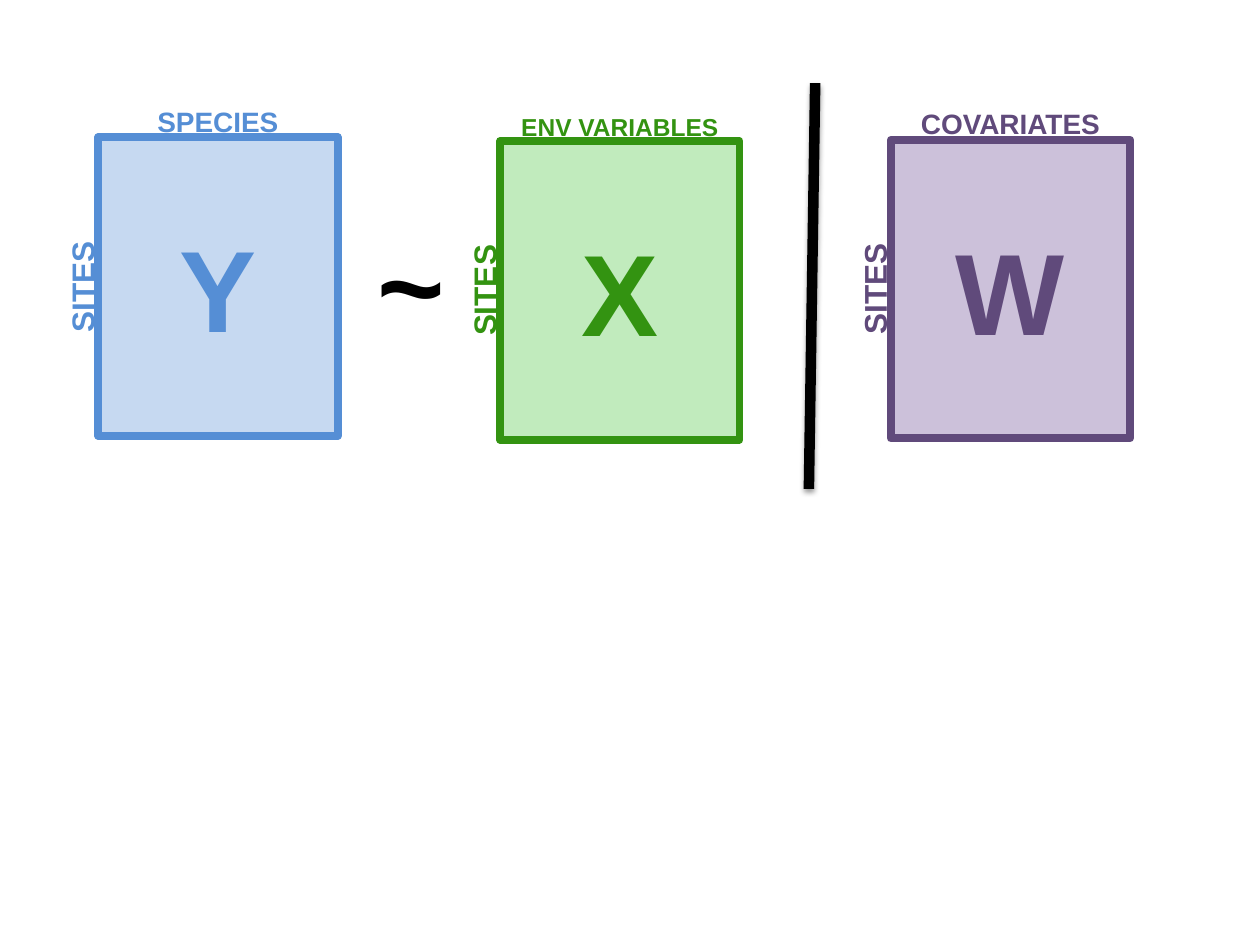
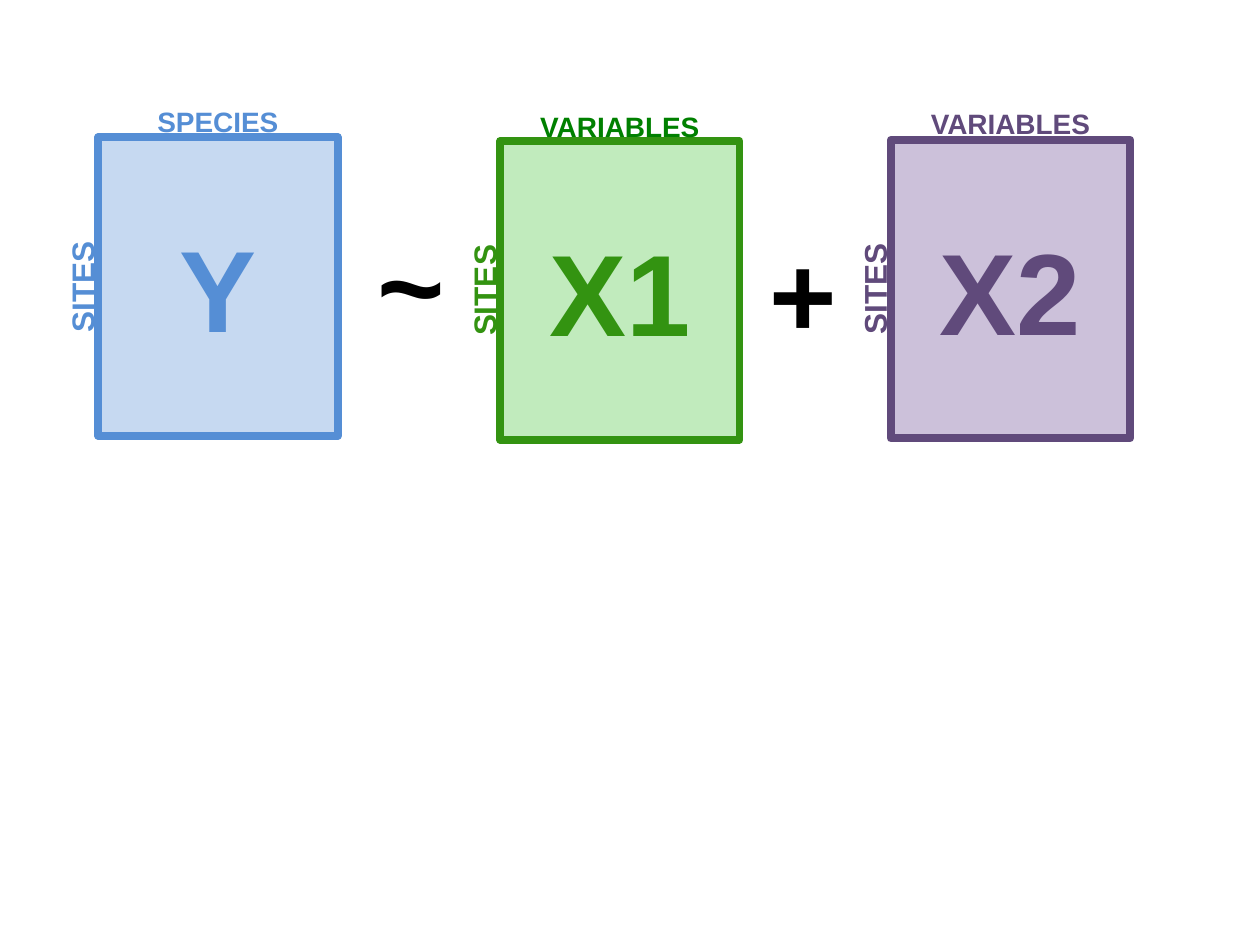
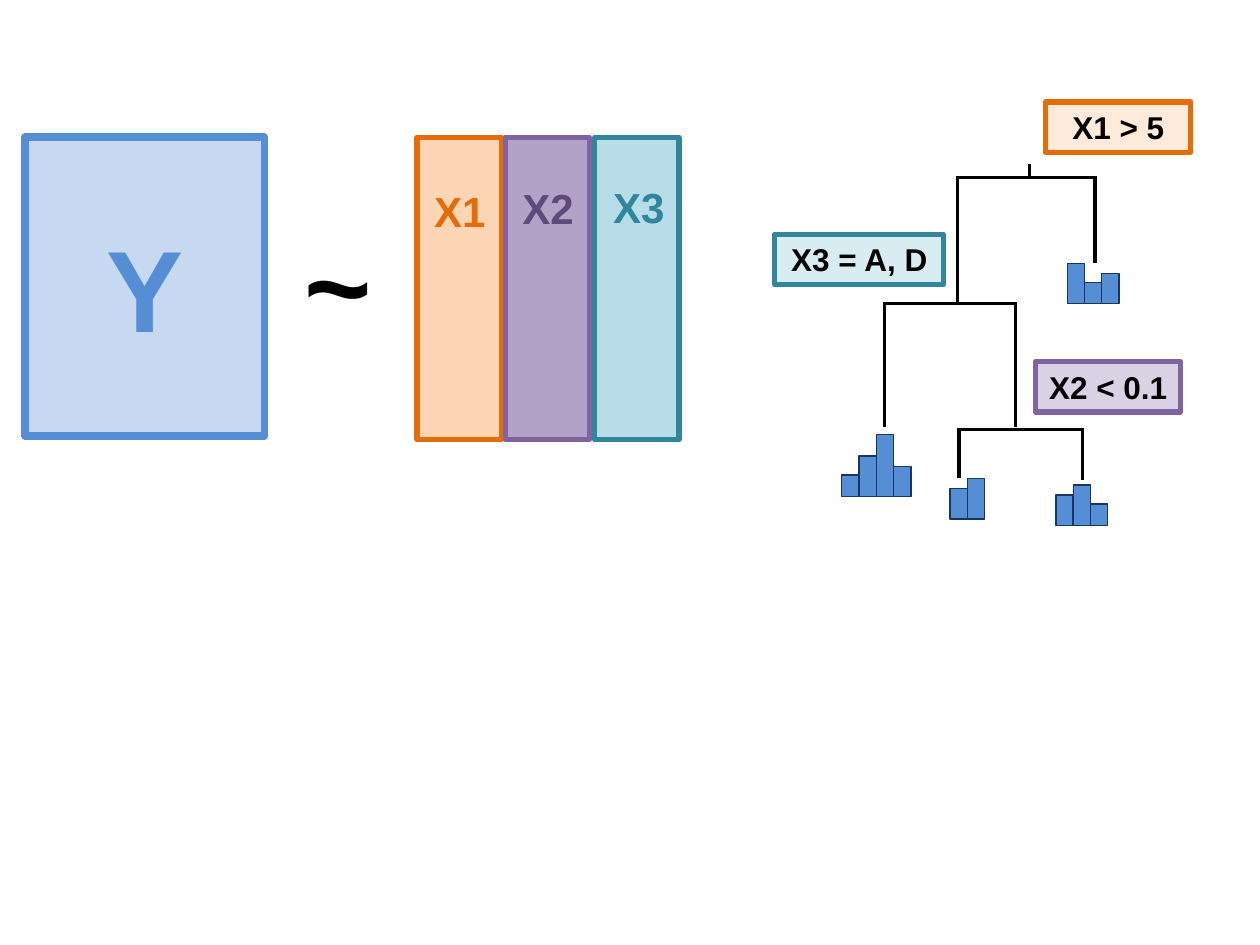
import pptx
import pptx.util
import pptx.dml.color
import pptx.enum.shapes
import pptx.enum.text
import pptx.oxml
import pptx.oxml.ns

Inches = pptx.util.Inches
Box = pptx.enum.shapes.MSO_SHAPE.RECTANGLE
Straight = pptx.enum.shapes.MSO_CONNECTOR.STRAIGHT
Align = pptx.enum.text.PP_ALIGN
Anchor = pptx.enum.text.MSO_ANCHOR
Fit = pptx.enum.text.MSO_AUTO_SIZE

FONT = "Arial"
HEX = {
    "black": "000000", "blue": "558ED5", "sky": "C6D9F1", "navy": "17375E",
    "green": "339311", "mint": "9FE098", "leaf": "008000",
    "plum": "604A7B", "lilac": "CCC1DA", "violet": "8064A2", "mauve": "B3A2C7",
    "orange": "E46C0A", "peach": "FCD5B5", "amber": "F79646",
    "teal": "31859C", "aqua": "B7DEE8",
}

# Matrix panels: left, top, line colour, fill colour, opacity in percent
PANEL_W, PANEL_H = 1.9, 2.37
PANELS = [
    (0.78, 1.09, "blue", "sky", 100),
    (3.97, 1.12, "green", "mint", 64),
    (7.07, 1.11, "plum", "lilac", 100),
]

# Slides 1 and 2: letter, column label, label size, label colour, label top
MODELS = [
    {"panels": [("Y", "SPECIES", 16, "blue", 0.78),
                ("X", "ENV VARIABLES", 14, "green", 0.84),
                ("W", "COVARIATES", 16, "plum", 0.8)],
     "signs": [("~", 2.9, 1.64)],
     "bar": (6.47, 0.66, 6.42, 3.88)},
    {"panels": [("Y", "SPECIES", 16, "blue", 0.78),
                ("X1", "VARIABLES", 16, "leaf", 0.82),
                ("X2", "VARIABLES", 16, "plum", 0.8)],
     "signs": [("~", 2.9, 1.64), ("+", 6.01, 1.71)],
     "bar": None},
]

# Slide 3: predictor columns, then the tree with its rules and leaves
COLUMNS = [  # name, left, label left, label top, line, fill, text colour
    ("X1", 3.31, 3.33, 1.42, "orange", "peach", "orange"),
    ("X2", 4.01, 4.03, 1.4, "violet", "mauve", "plum"),
    ("X3", 4.72, 4.75, 1.39, "teal", "aqua", "teal"),
]
STEM = (8.17, 1.3, 1.41)
SPLITS = [  # level, left x, left end, right x, right end
    (1.41, 7.6, 2.4, 8.69, 2.09),
    (2.41, 7.02, 3.39, 8.06, 3.39),
    (3.41, 7.61, 3.79, 8.59, 3.81),
]
RULES = [  # text, left, top, width, line, fill, opacity
    ("X1 > 5", 8.3, 0.81, 1.15, "orange", "amber", 20),
    ("X3 = A, D", 6.15, 1.86, 1.34, "teal", "aqua", 53),
    ("X2 < 0.1", 8.22, 2.87, 1.15, "violet", "lilac", 73),
]
LEAVES = [  # left, base, bar heights
    (8.47, 2.41, [0.32, 0.17, 0.24]),
    (6.68, 3.94, [0.17, 0.32, 0.49, 0.24]),
    (7.54, 4.12, [0.24, 0.32]),
    (8.38, 4.17, [0.24, 0.32, 0.17]),
]
BAR_W = 0.55 / 4


def rgb(name):
    return pptx.dml.color.RGBColor.from_string(HEX[name])


def write(shape, text, size=18, color="black", align=Align.CENTER,
          anchor=Anchor.TOP, wrap=True, grow=True):
    frame = shape.text_frame
    frame.word_wrap = wrap
    frame.vertical_anchor = anchor
    frame.auto_size = Fit.SHAPE_TO_FIT_TEXT if grow else Fit.NONE
    para = frame.paragraphs[0]
    para.alignment = align
    run = para.add_run()
    run.text = text
    font = run.font
    font.name, font.size, font.bold = FONT, pptx.util.Pt(size), True
    font.color.rgb = rgb(color)


def label(slide, text, left, top, width, height, turn=0, **style):
    box = slide.shapes.add_textbox(*map(Inches, (left, top, width, height)))
    box.rotation = turn
    write(box, text, **style)


def rect(slide, left, top, width, height, line, fill, weight, alpha=100):
    shape = slide.shapes.add_shape(
        Box, *map(Inches, (left, top, width, height)))
    shape.shadow.inherit = False
    shape.fill.solid()
    shape.fill.fore_color.rgb = rgb(fill)
    shape.line.color.rgb = rgb(line)
    shape.line.width = pptx.util.Pt(weight)
    if alpha < 100:
        tint = shape.fill._xPr.find(".//" + pptx.oxml.ns.qn("a:srgbClr"))
        tint.append(pptx.oxml.parse_xml(
            f'<a:alpha {pptx.oxml.ns.nsdecls("a")} val="{alpha * 1000}"/>'))
    return shape


def rule(slide, x1, y1, x2, y2, weight=2, shadow=""):
    line = slide.shapes.add_connector(
        Straight, *map(Inches, (x1, y1, x2, y2)))
    line.line.color.rgb = rgb("black")
    line.line.width = pptx.util.Pt(weight)
    line._element.spPr.append(pptx.oxml.parse_xml(
        f'<a:effectLst {pptx.oxml.ns.nsdecls("a")}>{shadow}</a:effectLst>'))


def panel(slide, text, left, top, line, fill, alpha):
    shape = rect(slide, left, top, PANEL_W, PANEL_H, line, fill, 4.5, alpha)
    write(shape, text, size=66, color=line, anchor=Anchor.MIDDLE, grow=False)


def sign(slide, text, left, top):
    label(slide, text, left, top, 0.74, 1.21, size=66,
          align=Align.LEFT, wrap=False)


SHADOW = ('<a:outerShdw blurRad="39370" dist="20320" dir="5400000" '
          'rotWithShape="0"><a:srgbClr val="000000"><a:alpha val="38000"/>'
          '</a:srgbClr></a:outerShdw>')

deck = pptx.Presentation()
deck.slide_width, deck.slide_height = Inches(10), Inches(7.5)
blank = deck.slide_layouts[6]

# Slides 1 and 2: matrix models
for model in MODELS:
    slide = deck.slides.add_slide(blank)
    for place, (name, *_) in zip(PANELS, model["panels"]):
        panel(slide, name, *place)
    for place, (_, head, size, color, high) in zip(PANELS, model["panels"]):
        left, top, tone = place[:3]
        label(slide, head, left, high, PANEL_W, 0.37, size=size, color=color)
        # Turned label, centred just left of the panel
        label(slide, "SITES", left - 0.13 - PANEL_H / 2,
              top + PANEL_H / 2 - 0.2, PANEL_H, 0.4, turn=270, color=tone)
    for mark in model["signs"]:
        sign(slide, *mark)
    if model["bar"]:
        rule(slide, *model["bar"], weight=6, shadow=SHADOW)

# Slide 3: response and predictor columns
slide = deck.slides.add_slide(blank)
panel(slide, "Y", 0.2, *PANELS[0][1:])
sign(slide, "~", 2.32, 1.64)
for name, left, text_x, text_y, line, fill, color in COLUMNS:
    rect(slide, left, 1.09, 0.67, 2.4, line, fill, 3)
    label(slide, name, text_x, text_y, 0.64, 0.5, size=24, color=color)

# Tree branches
x, top, end = STEM
rule(slide, x, top, x, end)
for level, left, left_end, right, right_end in SPLITS:
    rule(slide, left, level, right, level)
    rule(slide, left, level - 0.01, left, left_end)
    rule(slide, right, level - 0.01, right, right_end)

# Split rules and leaf histograms
for text, left, top, width, line, fill, alpha in RULES:
    write(rect(slide, left, top, width, 0.4, line, fill, 3, alpha), text)
for left, base, bars in LEAVES:
    for i, high in enumerate(bars):
        rect(slide, left + i * BAR_W, base - high, BAR_W, high,
             "navy", "blue", 0.75)

deck.save("out.pptx")
